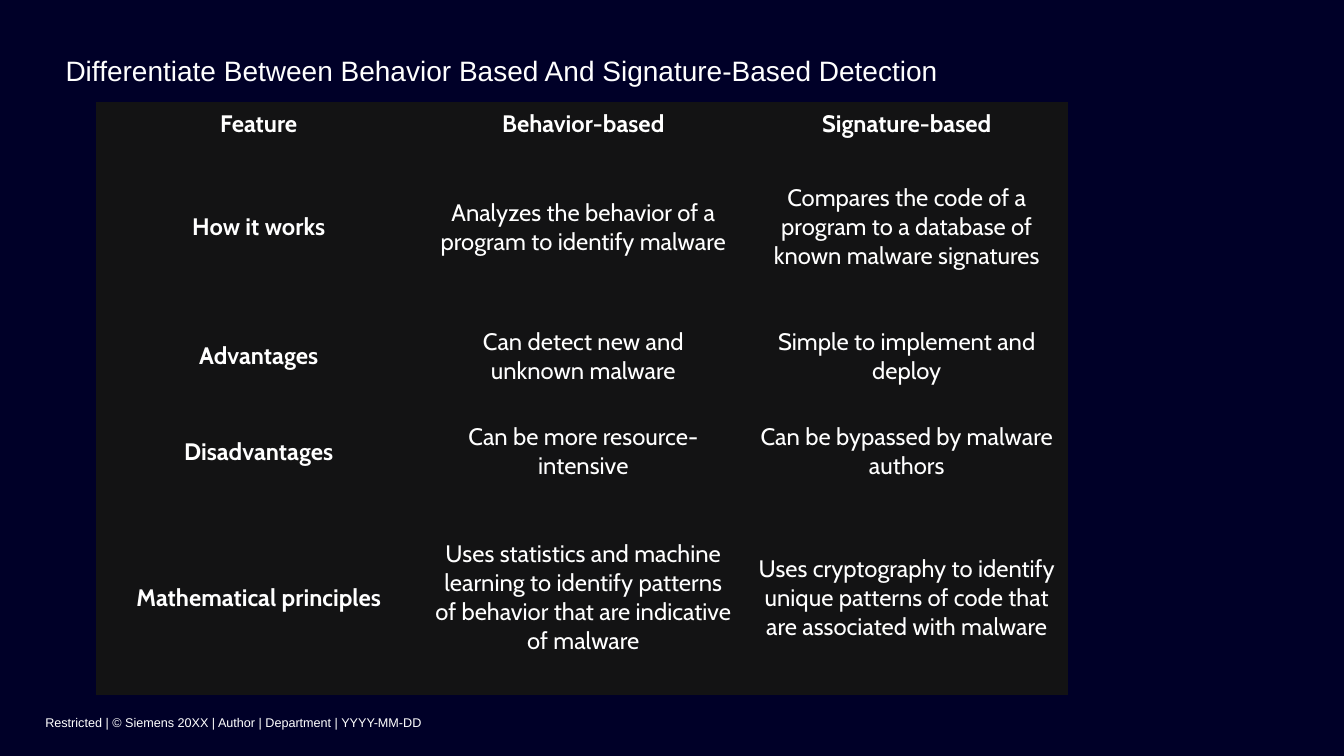
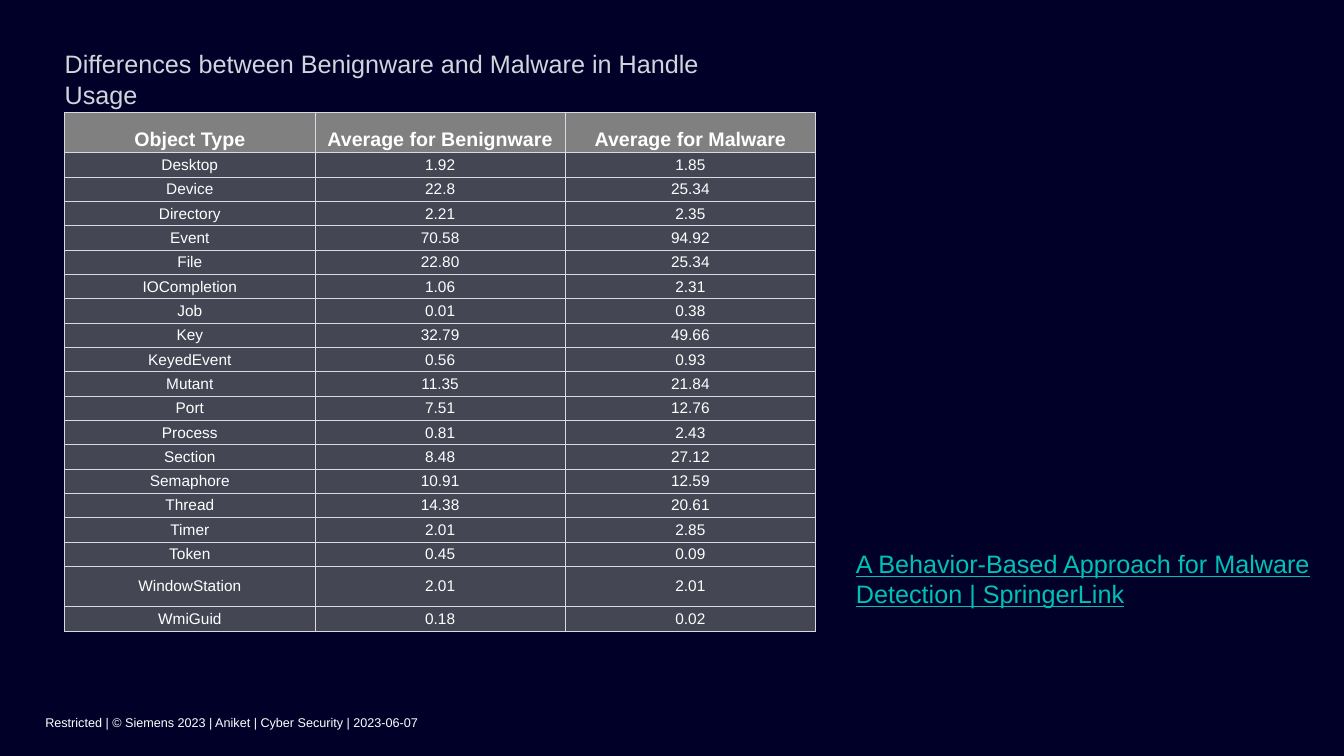
"""Build two dark slides that compare ways of detecting malware."""
from dataclasses import dataclass

from lxml.etree import SubElement
from pptx import Presentation
from pptx.dml.color import RGBColor as Rgb
from pptx.enum.text import MSO_ANCHOR as Anchor, MSO_AUTO_SIZE as AutoSize, PP_ALIGN as Align
from pptx.oxml.ns import qn
from pptx.util import Emu, Pt

EMU_PER_PX = 7620
PLAIN_TABLE = "{2D5ABB26-0587-4C30-8999-92F81FD0307C}"


@dataclass(frozen=True)
class Theme:
    """Colours, fonts and sizes shared by the slides."""
    background: str = "000028"
    white: str = "FFFFFF"
    soft: str = "D1D5DB"
    link: str = "00C1B6"
    panel: str = "131314"
    head: str = "808080"
    body: str = "444654"
    rule: str = "D9D9E3"
    sans: str = "Arial"
    round: str = "Cabin"
    title: int = 20
    subtitle: int = 18
    feature: int = 17
    column: int = 14
    value: int = 11
    footer: int = 9
    thin: float = 0.6
    thick: float = 1


THEME = Theme()


@dataclass(frozen=True)
class CellStyle:
    """Look of one kind of table cell."""
    fill: str
    font: str
    size: int
    inset: tuple
    bold: bool = False
    anchor: Anchor = Anchor.MIDDLE


FEATURE_HEAD = CellStyle(THEME.panel, THEME.round, THEME.feature, (11, 6), True)
FEATURE_NAME = CellStyle(THEME.panel, THEME.round, THEME.feature, (15, 15), True)
FEATURE_TEXT = CellStyle(THEME.panel, THEME.round, THEME.feature, (15, 15))
USAGE_HEAD = CellStyle(THEME.head, THEME.sans, THEME.column, (7, 3), True, Anchor.BOTTOM)
USAGE_VALUE = CellStyle(THEME.body, THEME.sans, THEME.value, (7, 3))

FEATURES = [
    ("Feature", "Behavior-based", "Signature-based"),
    ("How it works", "Analyzes the behavior of a program to identify malware",
     "Compares the code of a program to a database of known malware signatures"),
    ("Advantages", "Can detect new and unknown malware", "Simple to implement and deploy"),
    ("Disadvantages", "Can be more resource-intensive", "Can be bypassed by malware authors"),
    ("Mathematical principles",
     "Uses statistics and machine learning to identify patterns of behavior "
     "that are indicative of malware",
     "Uses cryptography to identify unique patterns of code that are associated with malware"),
]

HANDLE_USAGE = [
    ("Object Type", "Average for Benignware", "Average for Malware"),
    ("Desktop", "1.92", "1.85"),
    ("Device", "22.8", "25.34"),
    ("Directory", "2.21", "2.35"),
    ("Event", "70.58", "94.92"),
    ("File", "22.80", "25.34"),
    ("IOCompletion", "1.06", "2.31"),
    ("Job", "0.01", "0.38"),
    ("Key", "32.79", "49.66"),
    ("KeyedEvent", "0.56", "0.93"),
    ("Mutant", "11.35", "21.84"),
    ("Port", "7.51", "12.76"),
    ("Process", "0.81", "2.43"),
    ("Section", "8.48", "27.12"),
    ("Semaphore", "10.91", "12.59"),
    ("Thread", "14.38", "20.61"),
    ("Timer", "2.01", "2.85"),
    ("Token", "0.45", "0.09"),
    ("WindowStation", "2.01", "2.01"),
    ("WmiGuid", "0.18", "0.02"),
]


def px(length):
    """Turn pixels into EMU."""
    return Emu(length * EMU_PER_PX)


def add_span(para, text, size, color, font=THEME.sans, bold=False, underline=False):
    """Add one styled run to a paragraph."""
    span = para.add_run()
    span.text = text
    span.font.name = font
    span.font.size = Pt(size)
    span.font.bold = bold
    span.font.underline = underline
    span.font.color.rgb = Rgb.from_string(color)


def add_box(page, frame, bottom=0):
    """Add a wrapping text box and return its text frame."""
    box = page.shapes.add_textbox(*map(px, frame)).text_frame
    box.word_wrap = True
    box.margin_left = box.margin_top = box.margin_right = 0
    box.margin_bottom = px(bottom)
    return box


def add_heading(page, frame, text, size, color, underline=False):
    """Add a title or link whose box grows with its text."""
    box = add_box(page, frame)
    box.auto_size = AutoSize.SHAPE_TO_FIT_TEXT
    add_span(box.paragraphs[0], text, size, color, underline=underline)


def add_page(deck, footer):
    """Add a blank slide with its footer line."""
    page = deck.slides.add_slide(deck.slide_layouts[6])
    box = add_box(page, (54, 828, 1219, 72), bottom=8)
    box.vertical_anchor = Anchor.MIDDLE
    add_span(box.paragraphs[0], footer, THEME.footer, THEME.white)
    return page


def add_borders(cell, top, bottom):
    """Rule the four sides of a cell, with thin left and right sides."""
    properties = cell._tc.get_or_add_tcPr()
    sides = {"L": THEME.thin, "R": THEME.thin, "T": top, "B": bottom}
    for side, width in sides.items():
        line = SubElement(properties, qn(f"a:ln{side}"), w=str(Pt(width)))
        fill = SubElement(line, qn("a:solidFill"))
        SubElement(fill, qn("a:srgbClr"), val=THEME.rule)


def fill_cell(cell, text, style):
    """Write centred text into a cell and style it."""
    cell.fill.solid()
    cell.fill.fore_color.rgb = Rgb.from_string(style.fill)
    cell.margin_left = cell.margin_right = px(style.inset[0])
    cell.margin_top = cell.margin_bottom = px(style.inset[1])
    cell.vertical_anchor = style.anchor
    para = cell.text_frame.paragraphs[0]
    para.alignment = Align.CENTER
    add_span(para, text, style.size, THEME.white, style.font, style.bold)


def add_grid(page, origin, widths, heights, rows, pick_style, ruled=False):
    """Add a table whose cell styles come from pick_style(row, column)."""
    size = sum(widths), sum(heights)
    table = page.shapes.add_table(len(rows), len(widths), *map(px, origin + size)).table
    table.first_row = table.horz_banding = False
    table._tbl.tblPr.find(qn("a:tableStyleId")).text = PLAIN_TABLE
    for column, width in zip(table.columns, widths):
        column.width = px(width)
    for row, height in zip(table.rows, heights):
        row.height = px(height)
    last = len(rows) - 1
    for r, texts in enumerate(rows):
        for c, text in enumerate(texts):
            cell = table.cell(r, c)
            if ruled:
                add_borders(cell, THEME.thick if r else THEME.thin,
                            THEME.thick if r < last else THEME.thin)
            fill_cell(cell, text, pick_style(r, c))


def feature_style(row, column):
    """Choose the cell style of the feature table."""
    if row == 0:
        return FEATURE_HEAD
    return FEATURE_TEXT if column else FEATURE_NAME


def usage_style(row, column):
    """Choose the cell style of the handle usage table."""
    return USAGE_VALUE if row else USAGE_HEAD


def add_feature_page(deck):
    """Build the slide that compares the two detection methods."""
    page = add_page(deck, "Restricted | © Siemens 20XX | Author | Department | YYYY-MM-DD")
    add_grid(page, (114, 121), (388, 385, 385), (53, 193, 114, 114, 233),
             FEATURES, feature_style)
    add_heading(page, (78, 64, 1081, 41),
                "Differentiate Between Behavior Based And Signature-Based Detection",
                THEME.title, THEME.white)


def add_usage_page(deck):
    """Build the slide with the handle usage figures."""
    page = add_page(deck, "Restricted | © Siemens 2023 | Aniket | Cyber Security | 2023-06-07")
    tall = {"Object Type", "WindowStation"}
    heights = [48 if row[0] in tall else 29 for row in HANDLE_USAGE]
    add_grid(page, (77, 134), (298,) * 3, heights, HANDLE_USAGE, usage_style, ruled=True)
    add_heading(page, (1019, 653, 559, 73),
                "A Behavior-Based Approach for Malware Detection | SpringerLink",
                THEME.subtitle, THEME.link, underline=True)
    add_heading(page, (77, 58, 823, 72),
                "Differences between Benignware and Malware in Handle Usage",
                THEME.subtitle, THEME.soft)


def main():
    """Build and save the deck."""
    deck = Presentation()
    deck.slide_width, deck.slide_height = px(1600), px(900)
    backdrop = deck.slide_master.background.fill
    backdrop.solid()
    backdrop.fore_color.rgb = Rgb.from_string(THEME.background)
    add_feature_page(deck)
    add_usage_page(deck)
    deck.save("out.pptx")


if __name__ == "__main__":
    main()
